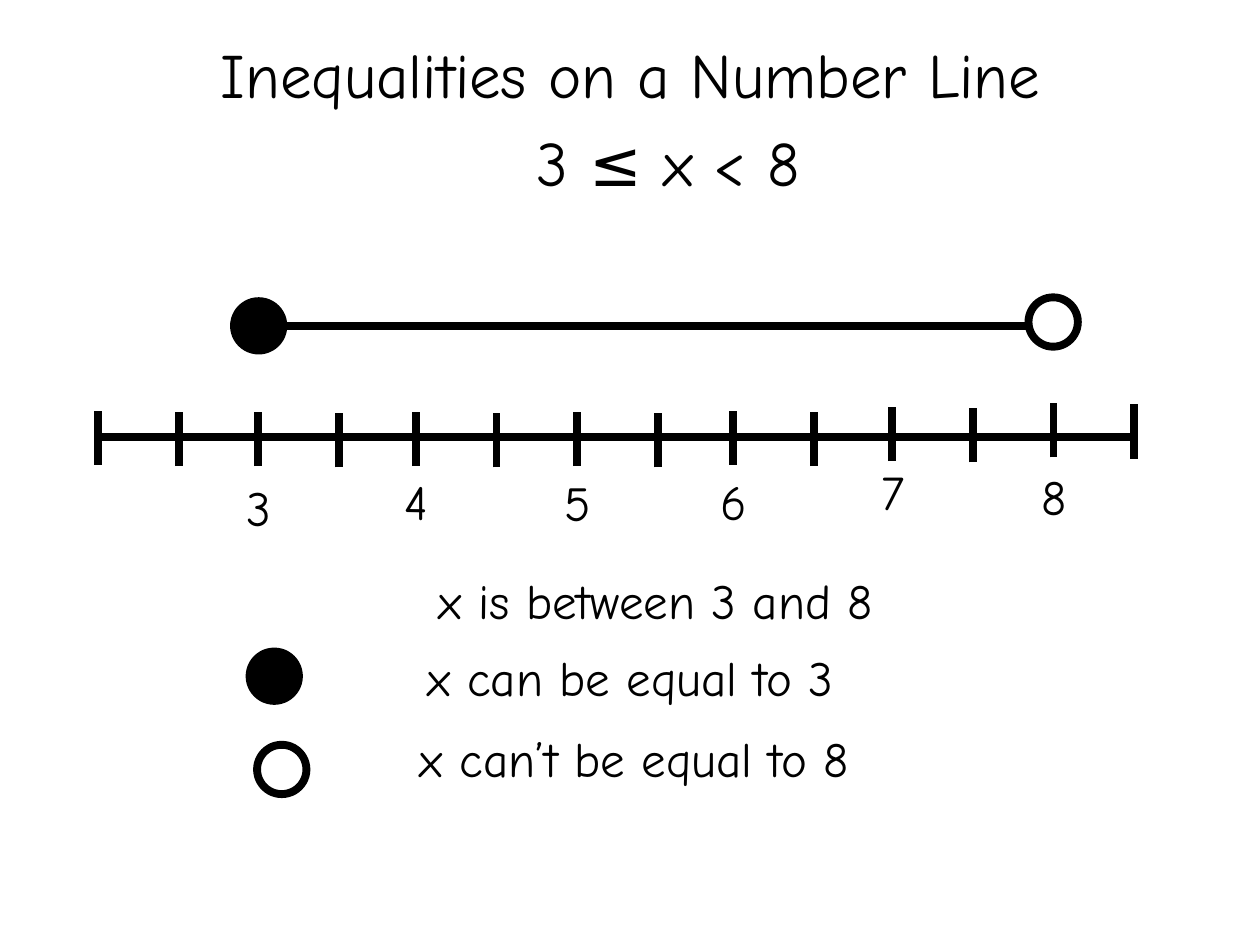
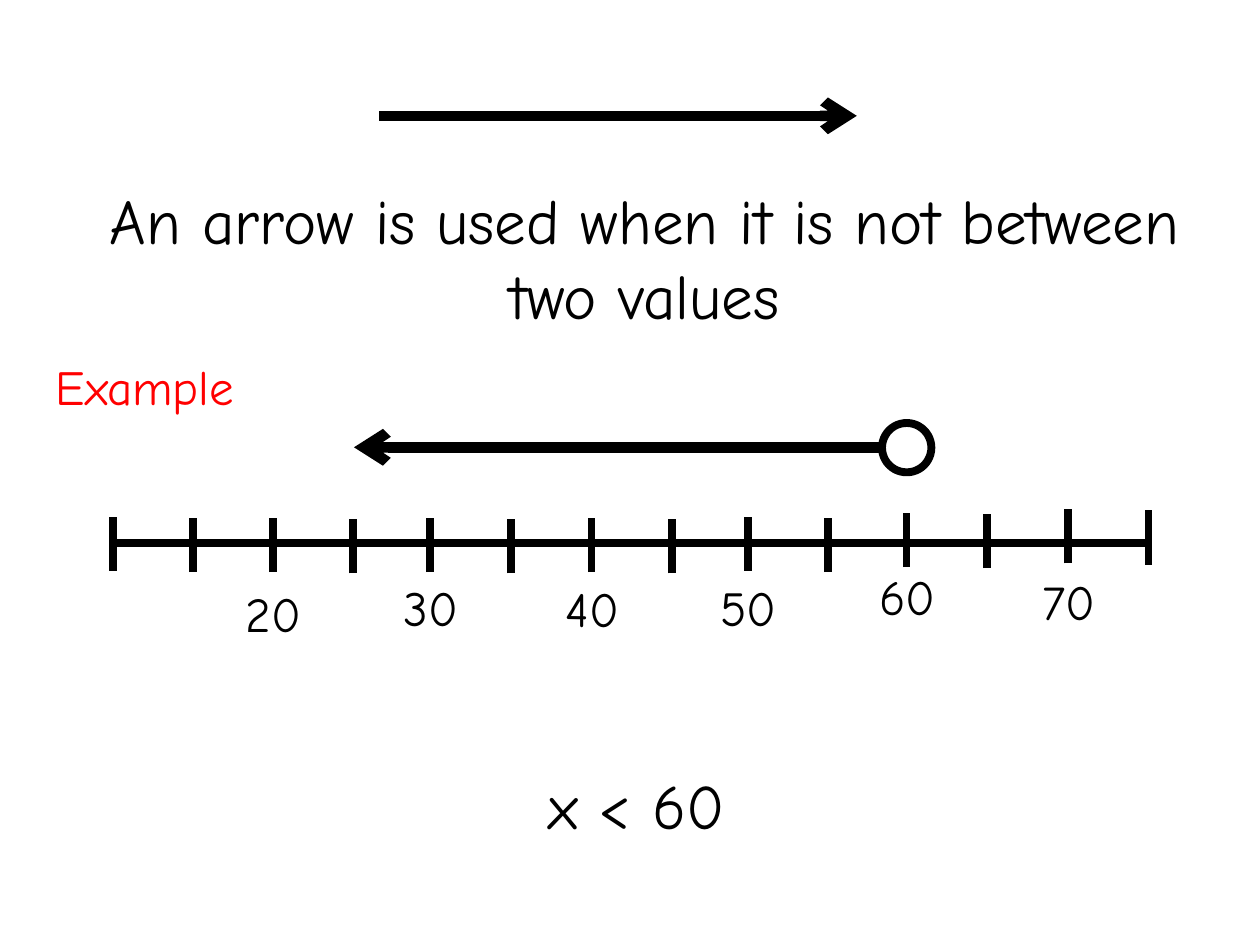
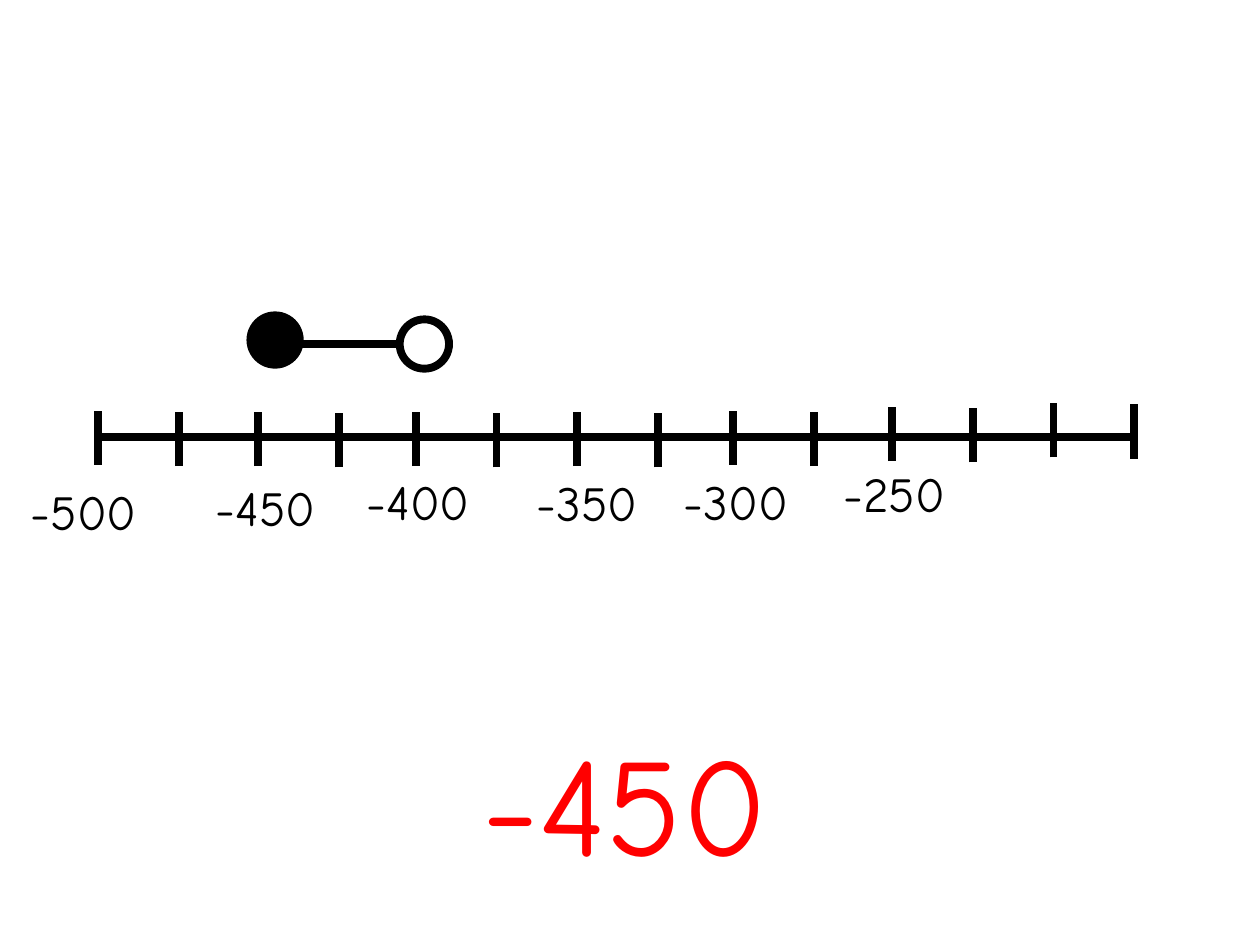
from pptx import Presentation
from pptx.dml.color import RGBColor
from pptx.enum.shapes import MSO_CONNECTOR as Connector, MSO_SHAPE as Preset
from pptx.enum.text import MSO_AUTO_SIZE as AutoSize, PP_ALIGN as Align
from pptx.oxml.ns import qn
from pptx.util import Pt
from lxml.etree import SubElement

FONT = "Comic Neue"
BLACK, WHITE, RED = "000000", "FFFFFF", "FF0000"
HEADING, BODY, ANSWER = 36, 28, 80
STROKE, ARROW_STROKE = 4.5, 6
TEXT_WIDTH, HEADING_HEIGHT, BODY_HEIGHT = 663, 51.1, 41.2
DOT = 28.2
AXIS_LENGTH, AXIS_DROP, TICK_HEIGHT = 591.6, 15.1, 31
HALF_STEP, HALF_DROP = 46.1, 0.7
MAJOR_TICKS = ((0, 0), (91.4, 0.7), (181.4, 0.7), (273.6, 0.7),
               (362.9, 0), (453.6, -2.2), (545.8, -4.3))
LABEL_DROPS = (36.7, 34.6, 31, 31.7, 31, 25.2, 28.1)


def color(value):
    """Turn a hex string into a colour."""
    return RGBColor.from_string(value)


def add_text(page, text, left, top, width=TEXT_WIDTH, height=BODY_HEIGHT,
             size=BODY, ink=BLACK):
    """Place one centred paragraph."""
    box = page.shapes.add_textbox(Pt(left), Pt(top), Pt(width), Pt(height))
    box.text_frame.word_wrap = True
    box.text_frame.auto_size = AutoSize.SHAPE_TO_FIT_TEXT
    para = box.text_frame.paragraphs[0]
    para.text = text
    para.alignment = Align.CENTER
    para.font.name = FONT
    para.font.size = Pt(size)
    para.font.color.rgb = color(ink)


def add_heading(page, text, left, top, height=HEADING_HEIGHT):
    """Place a full-width line of heading text."""
    add_text(page, text, left, top, height=height, size=HEADING)


def add_line(page, x1, y1, x2, y2, width=STROKE):
    """Draw a straight black line without a shadow."""
    line = page.shapes.add_connector(Connector.STRAIGHT, Pt(x1), Pt(y1), Pt(x2), Pt(y2))
    line.line.color.rgb = color(BLACK)
    line.line.width = Pt(width)
    SubElement(line._element.spPr, qn("a:effectLst"))
    return line


def add_arrow(page, start, end, y):
    """Draw a horizontal arrow that points at its end."""
    arrow = add_line(page, start, y, end, y, ARROW_STROKE)
    SubElement(arrow.line._get_or_add_ln(), qn("a:tailEnd"), type="arrow")


def add_dot(page, left, top, fill):
    """Draw a closed or open end point."""
    dot = page.shapes.add_shape(Preset.OVAL, Pt(left), Pt(top), Pt(DOT), Pt(DOT))
    dot.shadow.inherit = False
    dot.fill.solid()
    dot.fill.fore_color.rgb = color(fill)
    dot.line.color.rgb = color(BLACK)
    dot.line.width = Pt(STROKE)


def add_number_line(page, left, top, labels):
    """Draw the axis, its ticks, and labels given as tick, text, width, dx, dy."""
    axis = top + AXIS_DROP
    add_line(page, left + 0.5, axis, left + AXIS_LENGTH, axis)
    for x, drop in MAJOR_TICKS:
        for dx, dy in ((0, 0), (HALF_STEP, HALF_DROP)):
            tick_x, tick_top = left + x + dx, top + drop + dy
            add_line(page, tick_x, tick_top + TICK_HEIGHT, tick_x, tick_top)
    for tick, text, width, dx, dy in labels:
        center = left + MAJOR_TICKS[tick][0] + dx
        add_text(page, text, center - width / 2, top + LABEL_DROPS[tick] + dy, width)


def add_interval(page, left, top, length, closed_dy, open_dy):
    """Draw a segment from a closed point to an open point."""
    add_line(page, left, top, left + length, top)
    add_dot(page, left - DOT / 2, top + closed_dy - DOT / 2, BLACK)
    add_dot(page, left + length - DOT / 2, top + open_dy - DOT / 2, WHITE)


def even_labels(first, step):
    """List six labels on the major ticks after the first."""
    return [(tick, str(first + step * (tick - 1)), 62, 0.4, 0) for tick in range(1, 7)]


def add_key(page, left, top):
    """Explain the two kinds of end point."""
    add_text(page, "x is between 3 and 8", left + 14.4, top)
    add_text(page, "x can be equal to 3", left, top + 43.9)
    add_text(page, "x can’t be equal to 8", left + 2.2, top + 90)
    add_dot(page, left + 113.8, top + 49.7, BLACK)
    add_dot(page, left + 118.1, top + 103, WHITE)


def build_between(page):
    """Show an inequality between two values."""
    add_heading(page, "Inequalities on a Number Line", 28.8, 16.6)
    add_heading(page, "3 ≤ x < 8 ", 56.2, 67)
    add_number_line(page, 56.2, 234.7, even_labels(3, 1))
    add_interval(page, 147.8, 186.5, 454, -0.3, -2.5)
    add_key(page, 28.8, 322.6)


def build_arrow(page):
    """Show an inequality with one end."""
    add_arrow(page, 216.7, 489.6, 66.2)
    add_heading(page, "An arrow is used when it is not between two values", 36.7, 100.1, 94.3)
    add_number_line(page, 64.4, 295.2, even_labels(20, 10))
    add_heading(page, "x < 60 ", 38.2, 434.2)
    add_dot(page, 504, 241.7, WHITE)
    add_arrow(page, 504, 202.3, 255.6)
    add_text(page, "Example", 10.1, 200.2, 145.4, ink=RED)


def build_negative(page):
    """Show an interval of negative numbers."""
    add_text(page, "-450", 105.1, 406.1, 504.7, 104.4, ANSWER, RED)
    add_number_line(page, 56.2, 234.7, (
        (0, "-500", 95.8, -8.3, 0), (1, "-450", 85, 4.3, 0),
        (2, "-400", 89.3, 1.4, 0), (3, "-350", 82.1, 5.7, 0),
        (4, "-300", 89.3, 1.4, 0), (5, "-250", 89.3, 1.4, 1.4)))
    add_interval(page, 157.2, 196.6, 85.3, -2.3, 0)


deck = Presentation()
deck.slide_width, deck.slide_height = Pt(720), Pt(540)
for build in (build_between, build_arrow, build_negative):
    build(deck.slides.add_slide(deck.slide_layouts[6]))
deck.save("out.pptx")
